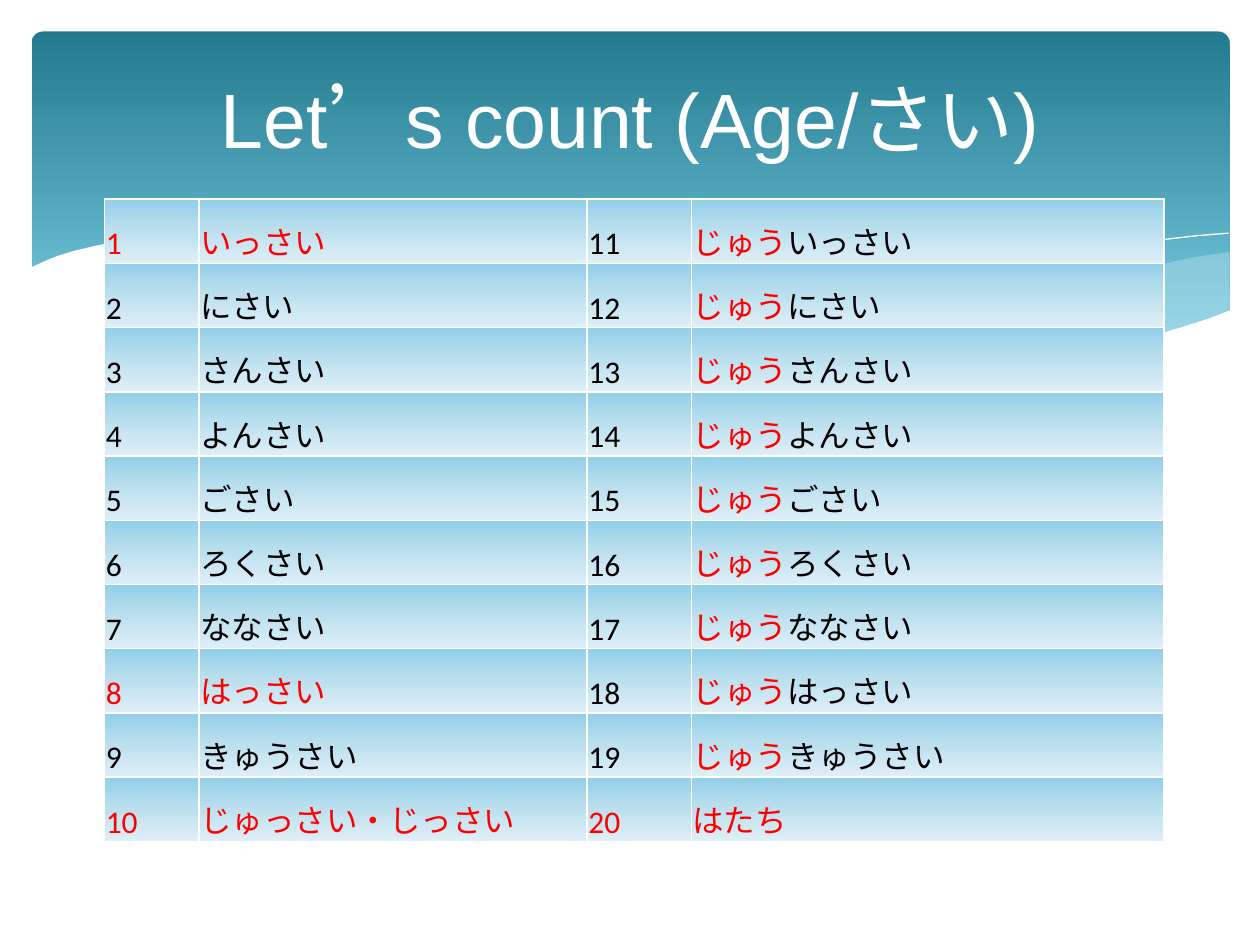
"""Build a slide that teaches counting ages in Japanese."""
from lxml import etree
from pptx import Presentation
from pptx.dml.color import RGBColor
from pptx.enum import shapes, text
from pptx.oxml import ns
from pptx.util import Inches, Pt

WHITE = RGBColor(0xFF, 0xFF, 0xFF)
BLACK = RGBColor(0, 0, 0)
RED = RGBColor(0xFF, 0, 0)
PALE = RGBColor(0xDE, 0xF5, 0xFA)
PANEL_STOPS = [(0, "227A8F"), (90, "7ACBE0")]
CELL_STOPS = [(0, "92CFE8"), (50, "BDE0EF"), (100, "DFEFF6")]

TITLE = "Let’s count (Age/さい)"
TEEN = "じゅう"
AGES = ["いっさい", "にさい", "さんさい", "よんさい", "ごさい", "ろくさい",
        "ななさい", "はっさい", "きゅうさい", "じゅっさい・じっさい"]
TWENTY = "はたち"
IRREGULAR = {1, 8, 10}
COLUMN_WIDTHS = [0.75, 3.08, 0.83, 3.75]
ROW_HEIGHT = 0.51

RIGHT_WAVE = [
    (9.75, 2), (9.48, 2.04), (9.21, 2.1), (8.91, 2.16), (8.61, 2.23), (8.05, 2.37),
    (7.53, 2.48), (7.06, 2.57), (6.61, 2.65), (6.91, 2.69), (7.19, 2.72), (7.45, 2.75),
    (7.69, 2.77), (8.03, 2.78), (8.35, 2.77), (8.63, 2.75), (8.89, 2.72), (9.13, 2.67),
    (9.35, 2.62), (9.49, 2.57), (9.63, 2.52), (9.76, 2.47), (9.76, 2)]
MIDDLE_WAVE = [
    (8.93, 2.73), (8.66, 2.69), (8.07, 2.6), (7.41, 2.47), (6.68, 2.31), (6.29, 2.22),
    (5.98, 2.14), (5.69, 2.08), (5.41, 2.03), (5.14, 1.98), (4.89, 1.94), (4.42, 1.89),
    (3.99, 1.86), (3.61, 1.85), (3.28, 1.87), (2.86, 1.91), (3.23, 1.96), (3.62, 2.03),
    (4.04, 2.11), (4.49, 2.22), (4.91, 2.32), (5.3, 2.4), (5.84, 2.52), (6.18, 2.58),
    (6.5, 2.64), (6.8, 2.68), (7.09, 2.72), (7.36, 2.75), (7.61, 2.77), (7.96, 2.78),
    (8.28, 2.78), (8.57, 2.77), (8.76, 2.75)]
LONG_CREST = [
    (3.09, 1.95), (3.28, 1.92), (3.53, 1.89), (3.87, 1.87), (4.33, 1.87), (4.69, 1.89),
    (5.1, 1.92), (5.56, 1.97), (6.08, 2.04), (6.65, 2.13), (7.27, 2.26), (7.95, 2.41),
    (8.69, 2.61), (9.07, 2.72)]
SHORT_CREST = [
    (6.13, 2.57), (6.53, 2.46), (6.95, 2.35), (7.48, 2.23), (8.06, 2.1), (8.66, 1.99),
    (8.95, 1.94), (9.24, 1.9), (9.51, 1.87), (9.75, 1.85)]
WHITE_WAVE = [
    (9.77, 2.46), (9.59, 2.53), (9.4, 2.59), (9.2, 2.65), (8.99, 2.69), (8.75, 2.73),
    (8.5, 2.75), (8.23, 2.77), (7.93, 2.76), (7.61, 2.75), (7.26, 2.72), (6.88, 2.68),
    (6.48, 2.62), (6.03, 2.54), (5.55, 2.45), (5.03, 2.33), (4.47, 2.2), (3.91, 2.07),
    (3.4, 1.97), (2.92, 1.9), (2.5, 1.86), (2.11, 1.84), (1.77, 1.84), (1.46, 1.85),
    (1.19, 1.87), (0.95, 1.91), (0.76, 1.95), (0.59, 1.99), (0.46, 2.03), (0.36, 2.07),
    (0.23, 2.13), (0.23, 3.29), (9.77, 3.29)]
WAVES = [
    (RIGHT_WAVE, PALE, 29), (MIDDLE_WAVE, PALE, 40), (LONG_CREST, None, 100),
    (SHORT_CREST, None, 100), (WHITE_WAVE, WHITE, 100)]


def paint_gradient(fill, properties, stops):
    fill.background()
    gradient = etree.Element(ns.qn("a:gradFill"), rotWithShape="1")
    stop_list = etree.SubElement(gradient, ns.qn("a:gsLst"))
    for position, color in stops:
        stop = etree.SubElement(stop_list, ns.qn("a:gs"), pos=str(position * 1000))
        etree.SubElement(stop, ns.qn("a:srgbClr"), val=color)
    etree.SubElement(gradient, ns.qn("a:lin"), ang="5400000", scaled="0")
    properties.replace(properties.find(ns.qn("a:noFill")), gradient)


def add_wave(slide, points, color, opacity):
    corners = [(Inches(x), Inches(y)) for x, y in points]
    builder = slide.shapes.build_freeform(*corners[0])
    builder.add_line_segments(corners[1:], close=color is not None)
    wave = builder.convert_to_shape()
    wave.shadow.inherit = False
    if color is None:
        wave.fill.background()
        wave.line.color.rgb = WHITE
        wave.line.width = Pt(0)
        return
    wave.fill.solid()
    wave.fill.fore_color.rgb = color
    wave.line.fill.background()
    if opacity < 100:
        swatch = wave.element.spPr.find(ns.qn("a:solidFill"))[0]
        etree.SubElement(swatch, ns.qn("a:alpha"), val=str(opacity * 1000))


def add_backdrop(slide):
    panel = slide.shapes.add_shape(
        shapes.MSO_SHAPE.ROUNDED_RECTANGLE,
        Inches(0.25), Inches(0.25), Inches(9.51), Inches(2.7))
    panel.adjustments[0] = 0.034
    panel.shadow.inherit = False
    panel.line.fill.background()
    paint_gradient(panel.fill, panel.element.spPr, PANEL_STOPS)
    for points, color, opacity in WAVES:
        add_wave(slide, points, color, opacity)


def add_title(slide):
    title = slide.shapes.title
    slide.shapes.element.append(title.element)
    title.left, title.top = Inches(0.5), Inches(0.37)
    title.width, title.height = Inches(9), Inches(1.13)
    title.text_frame.text = TITLE
    title.text_frame.vertical_anchor = text.MSO_ANCHOR.MIDDLE
    para = title.text_frame.paragraphs[0]
    para.alignment = text.PP_ALIGN.CENTER
    para.font.name, para.font.size = "Arial", Pt(44)
    para.font.color.rgb = WHITE


def fill_cell(cell, spans):
    cell.vertical_anchor = text.MSO_ANCHOR.BOTTOM
    cell.margin_left = cell.margin_right = cell.margin_top = Inches(0.01)
    cell.margin_bottom = 0
    properties = cell._tc.tcPr
    for side in ("lnL", "lnR", "lnT", "lnB"):
        border = etree.SubElement(properties, ns.qn(f"a:{side}"), w=str(Pt(1)))
        paint = etree.SubElement(border, ns.qn("a:solidFill"))
        etree.SubElement(paint, ns.qn("a:srgbClr"), val=str(WHITE))
    paint_gradient(cell.fill, properties, CELL_STOPS)
    para = cell.text_frame.paragraphs[0]
    para.font.name, para.font.size = "Calibri", Pt(18)
    for words, color in spans:
        span = para.add_run()
        span.text = words
        span.font.color.rgb = color


def add_ages(slide):
    table = slide.shapes.add_table(
        len(AGES), len(COLUMN_WIDTHS), Inches(0.83), Inches(1.58),
        Inches(sum(COLUMN_WIDTHS)), Inches(ROW_HEIGHT * len(AGES))).table
    table.first_row = table.horz_banding = False
    for column, width in zip(table.columns, COLUMN_WIDTHS):
        column.width = Inches(width)
    for number, age in enumerate(AGES, start=1):
        row = number - 1
        table.rows[row].height = Inches(ROW_HEIGHT)
        color = RED if number in IRREGULAR else BLACK
        last = number == len(AGES)
        older = [(TWENTY, RED)] if last else [(TEEN, RED), (age, BLACK)]
        contents = [[(str(number), color)], [(age, color)],
                    [(str(number + 10), RED if last else BLACK)], older]
        for column, spans in enumerate(contents):
            fill_cell(table.cell(row, column), spans)


def main():
    deck = Presentation()
    deck.slide_width, deck.slide_height = Inches(10), Inches(7.5)
    slide = deck.slides.add_slide(deck.slide_layouts[5])
    add_backdrop(slide)
    add_title(slide)
    add_ages(slide)
    deck.save("out.pptx")


if __name__ == "__main__":
    main()
